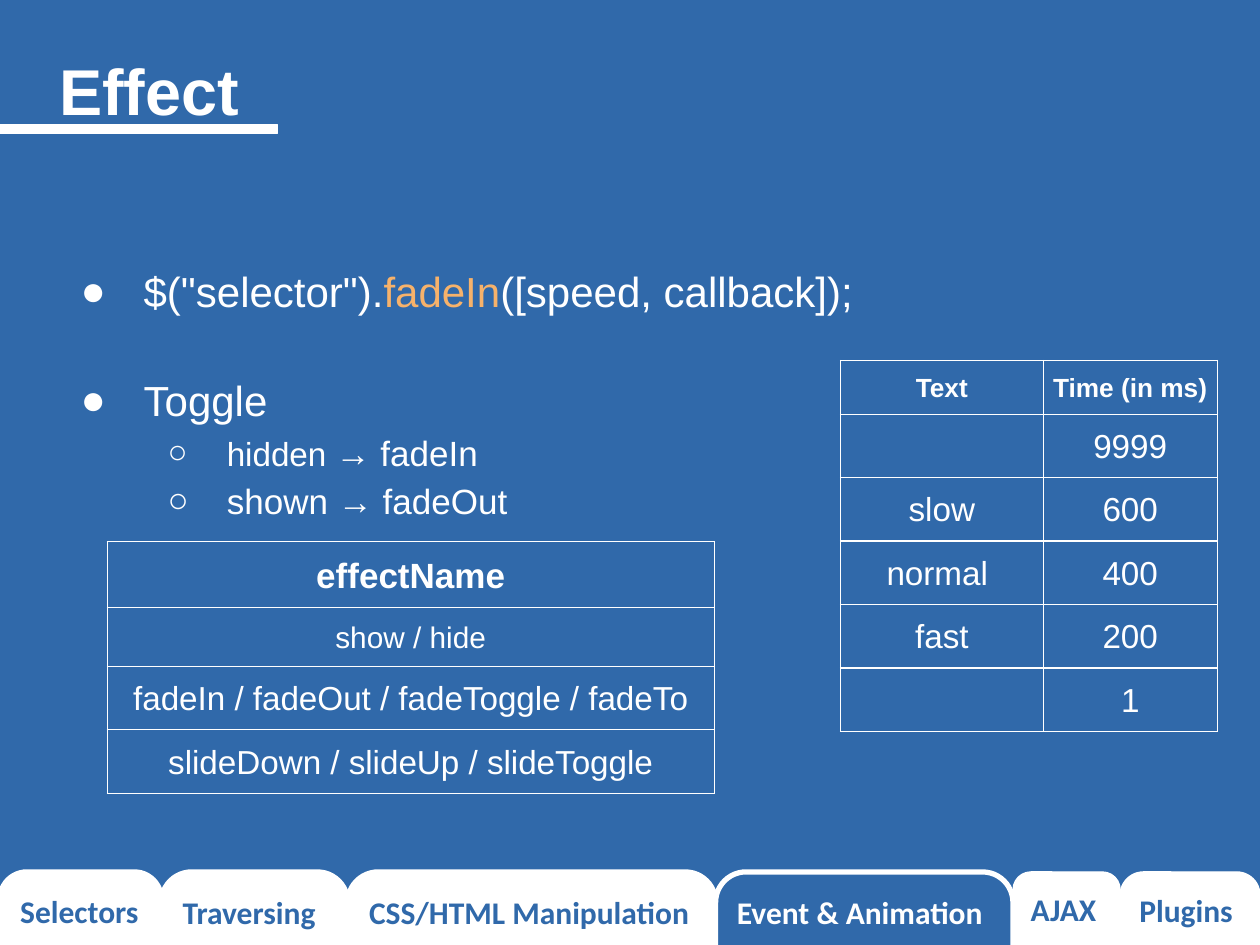
from lxml.etree import SubElement
from pptx import Presentation
from pptx.dml.color import RGBColor
from pptx.enum.shapes import MSO_SHAPE as Shape
from pptx.enum.text import MSO_ANCHOR as Anchor, PP_ALIGN as Align
from pptx.oxml.ns import qn
from pptx.util import Inches, Pt

COLORS = {"blue": "3069AA", "white": "FFFFFF", "orange": "F6B26B"}

TITLE = "Effect"
# level, space before, runs of (text, format)
BULLETS = [
    (0, 0, [('$("selector").', {}), ("fadeIn", {"color": "orange"}),
            ("([speed, callback]);", {})]),
    (0, 29, [("Toggle", {})]),
    (1, 0, [("hidden ", {"size": 19}), ("→ ", {"bold": True}), ("fadeIn", {})]),
    (1, 0, [("shown ", {}), ("→ ", {"bold": True}), ("fadeOut", {})]),
]
# glyph, text size, text indent, hanging indent
LEVELS = [("●", 24, 0.67, 0.5), ("○", 20, 1.33, 0.47)]

# label, width, outline in points
TABS = [
    ("Selectors", 1.28, 3), ("Traversing", 1.48, 3),
    ("CSS/HTML Manipulation", 2.92, 3), ("Event & Animation", 2.36, 3),
    ("AJAX", 0.85, 0.75), ("Plugins", 1.11, 0.75),
]
ACTIVE_TAB = "Event & Animation"
TAB_TOP, TAB_HEIGHT = 6.92, 1.45

TABLES = [
    {"at": (0.85, 4.3), "widths": [4.82], "heights": [0.49, 0.44, 0.48, 0.48],
     "sizes": [20, 17, 19, 19],
     "rows": [["effectName"], ["show / hide"],
              ["fadeIn / fadeOut / fadeToggle / fadeTo"],
              ["slideDown / slideUp / slideToggle"]]},
    {"at": (6.67, 2.86), "widths": [1.61, 1.38], "heights": [0.4] + [0.48] * 5,
     "sizes": [15] + [19] * 5,
     "rows": [["Text", "Time (in ms)"], ["", "9999"], ["slow", "600"],
              ["normal ", "400"], ["fast", "200"], ["", "1"]]},
]


def rgb(name):
    return RGBColor.from_string(COLORS[name])


def add_text(paragraph, text, size=24, color="white", bold=False, font="Arial",
             align=None, spacing=None):
    run = paragraph.add_run()
    run.text = text
    run.font.size = Pt(size)
    run.font.name = font
    run.font.bold = bold
    run.font.color.rgb = rgb(color)
    if align is not None:
        paragraph.alignment = align
    if spacing is not None:
        paragraph.line_spacing = spacing


def set_frame(frame, inset, anchor=Anchor.TOP):
    frame.word_wrap = True
    frame.vertical_anchor = anchor
    frame.margin_left = frame.margin_right = Inches(inset)
    frame.margin_top = frame.margin_bottom = Inches(inset)


def set_bullet(paragraph, glyph, indent, hanging):
    props = paragraph._p.get_or_add_pPr()
    props.set("marL", str(Inches(indent)))
    props.set("indent", str(-Inches(hanging)))
    bullet_color = SubElement(props, qn("a:buClr"))
    SubElement(bullet_color, qn("a:srgbClr"), val=COLORS["white"])
    SubElement(props, qn("a:buFont"), typeface="Arial")
    SubElement(props, qn("a:buChar"), char=glyph)


def add_plain_shape(shapes, kind, box, fill, outline):
    """Add a preset shape with a white outline and no shadow."""
    shape = shapes.add_shape(kind, *map(Inches, box))
    shape.shadow.inherit = False
    shape.fill.solid()
    shape.fill.fore_color.rgb = rgb(fill)
    shape.line.color.rgb = rgb("white")
    shape.line.width = Pt(outline)
    return shape


def add_title(slide):
    title = slide.shapes.title
    title.left, title.top, title.width, title.height = map(
        Inches, (0.34, 0.21, 9.32, 0.83))
    set_frame(title.text_frame, 0.13)
    title.text_frame.margin_top = Inches(0.19)
    title.text_frame.margin_bottom = Inches(0.06)
    add_text(title.text_frame.paragraphs[0], TITLE, size=37, bold=True,
             align=Align.LEFT, spacing=1)


def add_bullets(slide):
    frame = slide.shapes.add_textbox(
        *map(Inches, (0.34, 1.92, 9.32, 3.67))).text_frame
    set_frame(frame, 0.13)
    for index, (level, before, runs) in enumerate(BULLETS):
        paragraph = frame.add_paragraph() if index else frame.paragraphs[0]
        glyph, size, indent, hanging = LEVELS[level]
        paragraph.level = level
        paragraph.space_before = Pt(before)
        paragraph.line_spacing = 1.15
        set_bullet(paragraph, glyph, indent, hanging)
        for text, style in runs:
            add_text(paragraph, text, **{"size": size, **style})


def add_tabs(slide):
    tabs = slide.shapes.add_group_shape().shapes
    left = 0
    for label, width, outline in TABS:
        fill, color = "white", "blue"
        if label == ACTIVE_TAB:
            fill, color = color, fill
        tab = add_plain_shape(tabs, Shape.ROUNDED_RECTANGLE,
                              (left, TAB_TOP, width, TAB_HEIGHT), fill, outline)
        set_frame(tab.text_frame, 0.1)
        add_text(tab.text_frame.paragraphs[0], label, size=18, color=color,
                 bold=True, font="Calibri", align=Align.JUSTIFY)
        left += width


def set_borders(cell):
    props = cell._tc.get_or_add_tcPr()
    for index, side in enumerate(("lnL", "lnR", "lnT", "lnB")):
        line = props.makeelement(qn("a:" + side), {"w": str(Pt(0.75))})
        fill = SubElement(line, qn("a:solidFill"))
        SubElement(fill, qn("a:srgbClr"), val=COLORS["white"])
        props.insert(index, line)


def add_table(slide, at, widths, heights, sizes, rows):
    table = slide.shapes.add_table(
        len(rows), len(widths), *map(Inches, (*at, sum(widths), sum(heights)))).table
    table.first_row = table.horz_banding = False
    for column, width in zip(table.columns, widths):
        column.width = Inches(width)
    for r, (texts, height, size) in enumerate(zip(rows, heights, sizes)):
        table.rows[r].height = Inches(height)
        for c, text in enumerate(texts):
            cell = table.cell(r, c)
            cell.fill.background()
            set_borders(cell)
            cell.margin_left = cell.margin_right = Inches(0.07)
            cell.margin_top = cell.margin_bottom = Inches(0.07)
            paragraph = cell.text_frame.paragraphs[0]
            if text:
                add_text(paragraph, text, size=size, bold=r == 0,
                         align=Align.CENTER, spacing=1.15)
            else:
                paragraph.font.size = Pt(size)


def main():
    deck = Presentation()
    deck.slide_width, deck.slide_height = Inches(10), Inches(7.5)
    slide = deck.slides.add_slide(deck.slide_layouts[5])
    slide.background.fill.solid()
    slide.background.fill.fore_color.rgb = rgb("blue")
    add_title(slide)
    add_bullets(slide)
    add_tabs(slide)
    underline = add_plain_shape(slide.shapes, Shape.MATH_MINUS,
                                (-0.4, 0.87, 3, 0.31), "white", 0.75)
    underline.adjustments[0] = 0.24
    for table in TABLES:
        add_table(slide, **table)
    deck.save("out.pptx")


if __name__ == "__main__":
    main()
